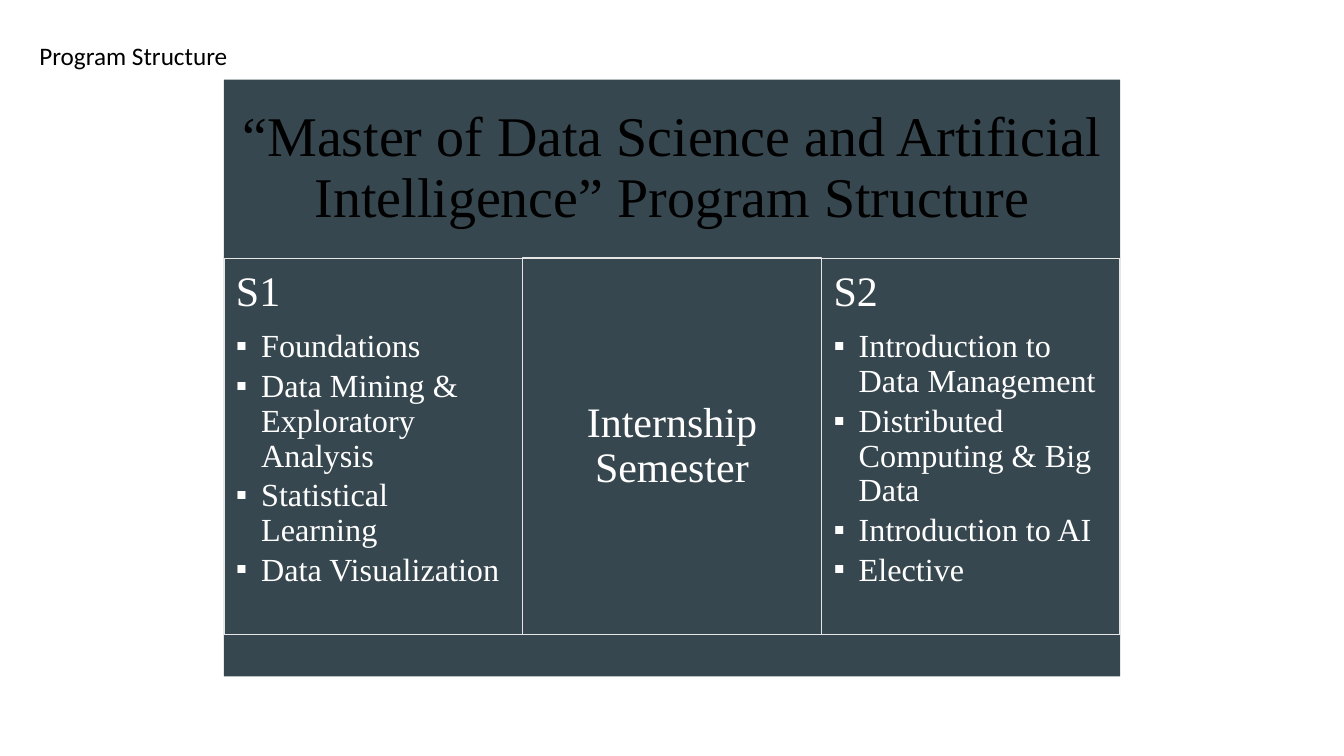
from lxml.etree import SubElement
from pptx import Presentation
from pptx.dml.color import RGBColor
from pptx.enum.shapes import MSO_SHAPE as Shape
from pptx.enum.text import MSO_ANCHOR as Anchor, MSO_AUTO_SIZE as AutoSize, PP_ALIGN as Align
from pptx.oxml.ns import qn
from pptx.util import Inches, Pt

SLATE, RULE, WHITE, BLACK = "37474F", "E7E6E6", "FFFFFF", "000000"
SERIF = "Times New Roman"
HEADER_H, COLUMN_H, FOOTER_H = 1.77, 3.74, 0.41
SEMESTERS = [
    ("S1", ["Foundations", "Data Mining & Exploratory Analysis",
            "Statistical Learning", "Data Visualization"]),
    ("S2", ["Introduction to Data Management", "Distributed Computing & Big Data",
            "Introduction to AI", "Elective"]),
]


def color(value):
    return RGBColor.from_string(value)


def place(shape, left, top, width, height):
    shape.left, shape.top = Inches(left), Inches(top)
    shape.width, shape.height = Inches(width), Inches(height)


def paint(shape, line=None):
    shape.fill.solid()
    shape.fill.fore_color.rgb = color(SLATE)
    if line:
        shape.line.color.rgb = color(line)
        shape.line.width = Pt(1)
    else:
        shape.line.fill.background()


def panel(slide, box, line=None):
    rect = slide.shapes.add_shape(Shape.RECTANGLE, *map(Inches, box))
    rect.shadow.inherit = False
    paint(rect, line)
    return rect


def prepare(frame, inset, anchor):
    frame.word_wrap = True
    frame.auto_size = AutoSize.NONE
    frame.vertical_anchor = anchor
    frame.margin_left = frame.margin_right = Inches(inset)
    frame.margin_top = frame.margin_bottom = Inches(inset)


def write(paragraph, text, size, ink=WHITE, align=Align.LEFT, after=0.35, bullet=None):
    paragraph.text = text
    paragraph.alignment = align
    paragraph.line_spacing = 0.9
    paragraph.space_before = Pt(0)
    paragraph.space_after = Pt(size * after)
    # Bullet and hanging indent
    props = paragraph._p.get_or_add_pPr()
    indent = Inches(0.25) if bullet else 0
    props.set("marL", str(indent))
    props.set("indent", str(-indent))
    if bullet:
        SubElement(props, qn("a:buFont"), typeface="Arial")
        SubElement(props, qn("a:buChar"), char=bullet)
    else:
        SubElement(props, qn("a:buNone"))
    font = paragraph.font
    font.name, font.size = SERIF, Pt(size)
    font.color.rgb = color(ink)


def add_title(title, box):
    place(title, *box)
    frame = title.text_frame
    prepare(frame, 0.1, Anchor.MIDDLE)
    heading = frame.paragraphs[0]
    heading.text = "Program Structure"
    heading.alignment = Align.LEFT
    heading.font.name, heading.font.size = "Calibri", Pt(18)
    heading.font.color.rgb = color(BLACK)


def add_semester(body, box, name, courses):
    place(body, *box)
    paint(body, RULE)
    frame = body.text_frame
    prepare(frame, 0.12, Anchor.TOP)
    write(frame.paragraphs[0], name, 30)
    for course in courses:
        write(frame.add_paragraph(), course, 23, after=0.15, bullet="▪")


def add_centered(slide, box, text, size, inset, ink=WHITE, line=None):
    frame = panel(slide, box, line).text_frame
    prepare(frame, inset, Anchor.MIDDLE)
    write(frame.paragraphs[0], text, size, ink, Align.CENTER)


def add_program(slide, left, top, width):
    column_top = top + HEADER_H
    column_w = width / 3
    columns = [(left + i * column_w, column_top, column_w, COLUMN_H) for i in range(3)]

    # Header band
    add_centered(slide, (left, top, width, HEADER_H),
                 "“Master of Data Science and Artificial Intelligence” Program Structure",
                 40, 0.17, BLACK)

    # Semesters on either side of the internship
    bodies = list(slide.placeholders)[1:]
    for body, box, (name, courses) in zip(bodies, columns[::2], SEMESTERS):
        add_semester(body, box, name, courses)
    add_centered(slide, columns[1], "Internship Semester", 30, 0.12, line=RULE)

    # Footer band
    panel(slide, (left, column_top + COLUMN_H, width, FOOTER_H))


def main():
    deck = Presentation()
    deck.slide_width, deck.slide_height = Inches(13.33), Inches(7.5)
    slide = deck.slides.add_slide(deck.slide_layouts.get_by_name("Two Content"))
    add_title(slide.shapes.title, (0.29, 0.34, 2.83, 0.41))
    add_program(slide, 2.22, 0.79, 8.89)
    deck.save("out.pptx")


if __name__ == "__main__":
    main()
